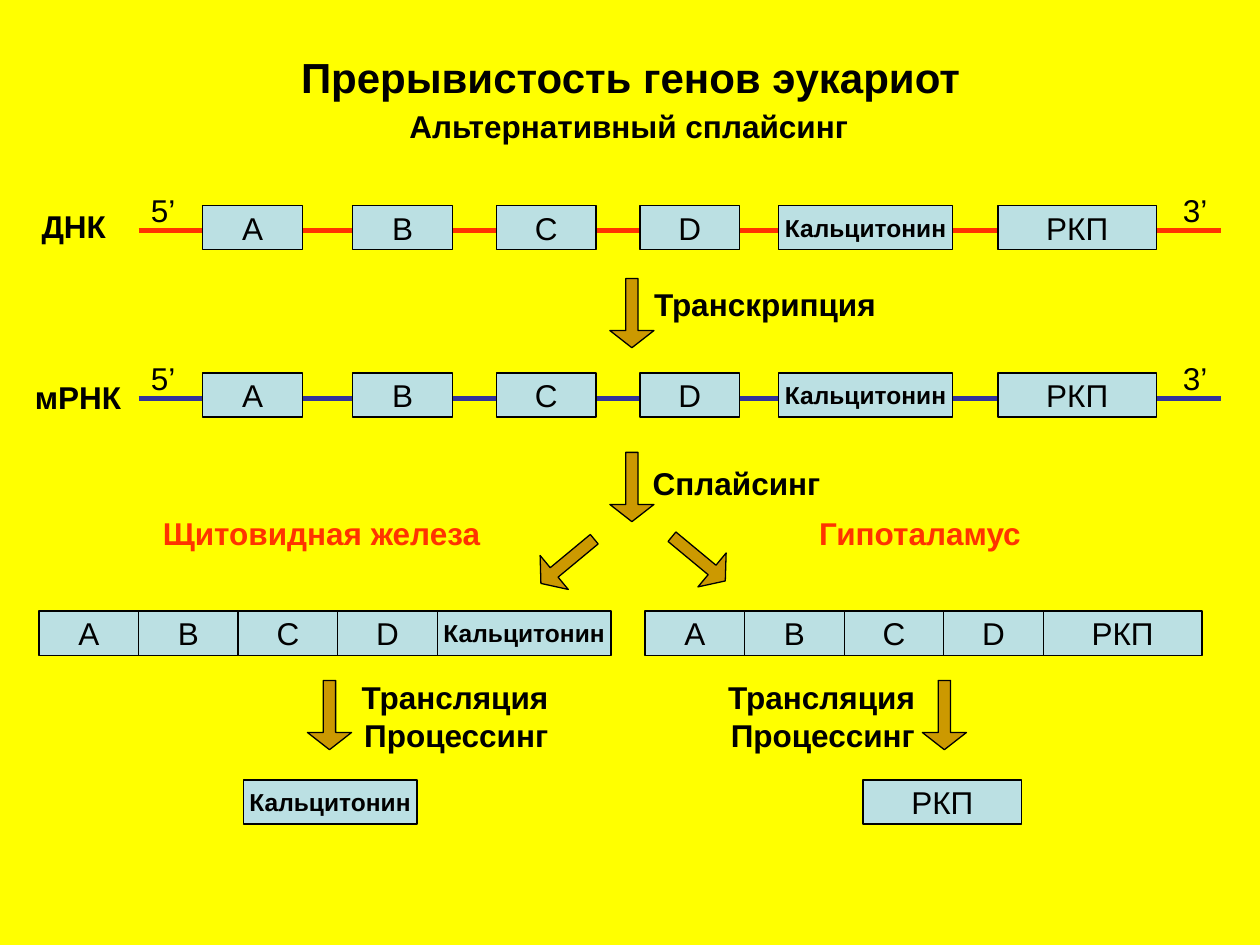
import pptx
import pptx.util
from lxml import etree
from pptx.dml.color import RGBColor
from pptx.enum.shapes import MSO_CONNECTOR, MSO_SHAPE
from pptx.enum.text import MSO_ANCHOR, MSO_AUTO_SIZE, PP_ALIGN
from pptx.oxml.ns import qn
from pptx.util import Inches, Pt

YELLOW = RGBColor(0xFF, 0xFF, 0x00)
BLACK = RGBColor(0x00, 0x00, 0x00)
RED = RGBColor(0xFF, 0x33, 0x00)
BLUE = RGBColor(0x33, 0x33, 0x99)
PALE_BLUE = RGBColor(0xBB, 0xE0, 0xE3)
OCHRE = RGBColor(0xCC, 0x99, 0x00)

# Content: exon -> width, size, bold
EXON_HEIGHT = 0.35
EXONS = {name: (0.79, 18, False) for name in "ABCD"}
EXONS["Кальцитонин"] = (1.38, 14, True)
EXONS["РКП"] = (1.26, 18, False)

# Strands with introns: exon lefts; line height, colour
GENE = [("A", 1.61), ("B", 2.8), ("C", 3.94), ("D", 5.08),
        ("Кальцитонин", 6.18), ("РКП", 7.92)]
STRANDS = [(1.83, RED), (3.16, BLUE)]
STRAND_LEFT, STRAND_RIGHT = 1.1, 9.69
STRAND_ENDS = [("5’", 1.05), ("3’", 9.24)]

# Spliced chains: left, exons
SPLICED_TOP = 4.85
SPLICED = [(0.31, ["A", "B", "C", "D", "Кальцитонин"]),
           (5.12, ["A", "B", "C", "D", "РКП"])]
PRODUCT_TOP = 6.19
PRODUCTS = [("Кальцитонин", 1.93), ("РКП", 6.85)]

# Arrows: left, top, rotation
ARROWS = [(4.84, 2.21, 0), (4.84, 3.59, 0), (4.33, 4.18, 50.3),
          (5.37, 4.16, -50.3), (2.44, 5.4, 0), (7.32, 5.4, 0)]

# Headings: text, left, top, width, height, size
HEADINGS = [("Прерывистость генов эукариот", 2.09, 0.36, 5.83, 0.5, 24),
            ("Альтернативный сплайсинг", 3.14, 0.8, 3.7, 0.4, 18)]

# Labels: text, left, top, width, colour
LABELS = [("ДНК", 0.18, 1.59, 0.76, BLACK),
          ("мРНК", 0.13, 2.95, 0.93, BLACK),
          ("Транскрипция", 5.08, 2.21, 1.97, BLACK),
          ("Сплайсинг", 5.08, 3.63, 1.53, BLACK),
          ("Щитовидная железа", 1.18, 4.03, 2.73, RED),
          ("Гипоталамус", 6.38, 4.03, 1.82, RED)]
PROCESSING = "Трансляция Процессинг"
PROCESSING_LEFTS = [2.64, 5.55]


def write(shape, text, size, bold, color=BLACK, align=PP_ALIGN.RIGHT, wrap=False):
    frame = shape.text_frame
    frame.word_wrap = wrap
    paragraph = frame.paragraphs[0]
    paragraph.text = text
    paragraph.alignment = align
    paragraph.font.name = "Arial"
    paragraph.font.size = Pt(size)
    paragraph.font.bold = bold
    paragraph.font.color.rgb = color


def add_label(shapes, text, left, top, width, height=0.4, size=18, bold=True, **style):
    label = shapes.add_textbox(Inches(left), Inches(top), Inches(width), Inches(height))
    write(label, text, size, bold, **style)
    label.text_frame.auto_size = MSO_AUTO_SIZE.SHAPE_TO_FIT_TEXT


def add_filled(shapes, kind, left, top, width, height, fill):
    shape = shapes.add_shape(kind, Inches(left), Inches(top), Inches(width), Inches(height))
    shape.shadow.inherit = False
    shape.fill.solid()
    shape.fill.fore_color.rgb = fill
    shape.line.color.rgb = BLACK
    shape.line.width = Pt(0.75)
    return shape


def add_exon(shapes, name, left, top):
    width, size, bold = EXONS[name]
    exon = add_filled(shapes, MSO_SHAPE.RECTANGLE, left, top, width, EXON_HEIGHT, PALE_BLUE)
    exon.text_frame.vertical_anchor = MSO_ANCHOR.MIDDLE
    write(exon, name, size, bold, align=PP_ALIGN.CENTER)


def add_strand(shapes, y, color):
    strand = shapes.add_connector(MSO_CONNECTOR.STRAIGHT, Inches(STRAND_LEFT), Inches(y),
                                  Inches(STRAND_RIGHT), Inches(y))
    strand.line.color.rgb = color
    strand.line.width = Pt(3)
    etree.SubElement(strand._element.spPr, qn("a:effectLst"))
    for name, left in GENE:
        add_exon(shapes, name, left, y - 0.2)
    for text, left in STRAND_ENDS:
        add_label(shapes, text, left, y - 0.36, 0.44, bold=False)


presentation = pptx.Presentation()
presentation.slide_width = Inches(10)
presentation.slide_height = Inches(7.5)
slide = presentation.slides.add_slide(presentation.slide_layouts[6])
slide.background.fill.solid()
slide.background.fill.fore_color.rgb = YELLOW

# Headings
for text, left, top, width, height, size in HEADINGS:
    add_label(slide.shapes, text, left, top, width, height, size, align=PP_ALIGN.CENTER)

# DNA and its transcript
for y, color in STRANDS:
    add_strand(slide.shapes.add_group_shape().shapes, y, color)

# Spliced chains, exons set edge to edge
for left, names in SPLICED:
    chain = slide.shapes.add_group_shape().shapes
    for name in names:
        add_exon(chain, name, left, SPLICED_TOP)
        left += EXONS[name][0]

# Final products
for name, left in PRODUCTS:
    add_exon(slide.shapes, name, left, PRODUCT_TOP)

# Process arrows
for left, top, rotation in ARROWS:
    arrow = add_filled(slide.shapes, MSO_SHAPE.DOWN_ARROW, left, top, 0.35, 0.55, OCHRE)
    arrow.adjustments[0] = 0.28
    arrow.adjustments[1] = 0.39
    arrow.rotation = rotation

# Labels of molecules, steps and tissues
for text, left, top, width, color in LABELS:
    add_label(slide.shapes, text, left, top, width, color=color)
for left in PROCESSING_LEFTS:
    add_label(slide.shapes, PROCESSING, left, 5.33, 1.81, 0.7, wrap=True)

presentation.save("out.pptx")
